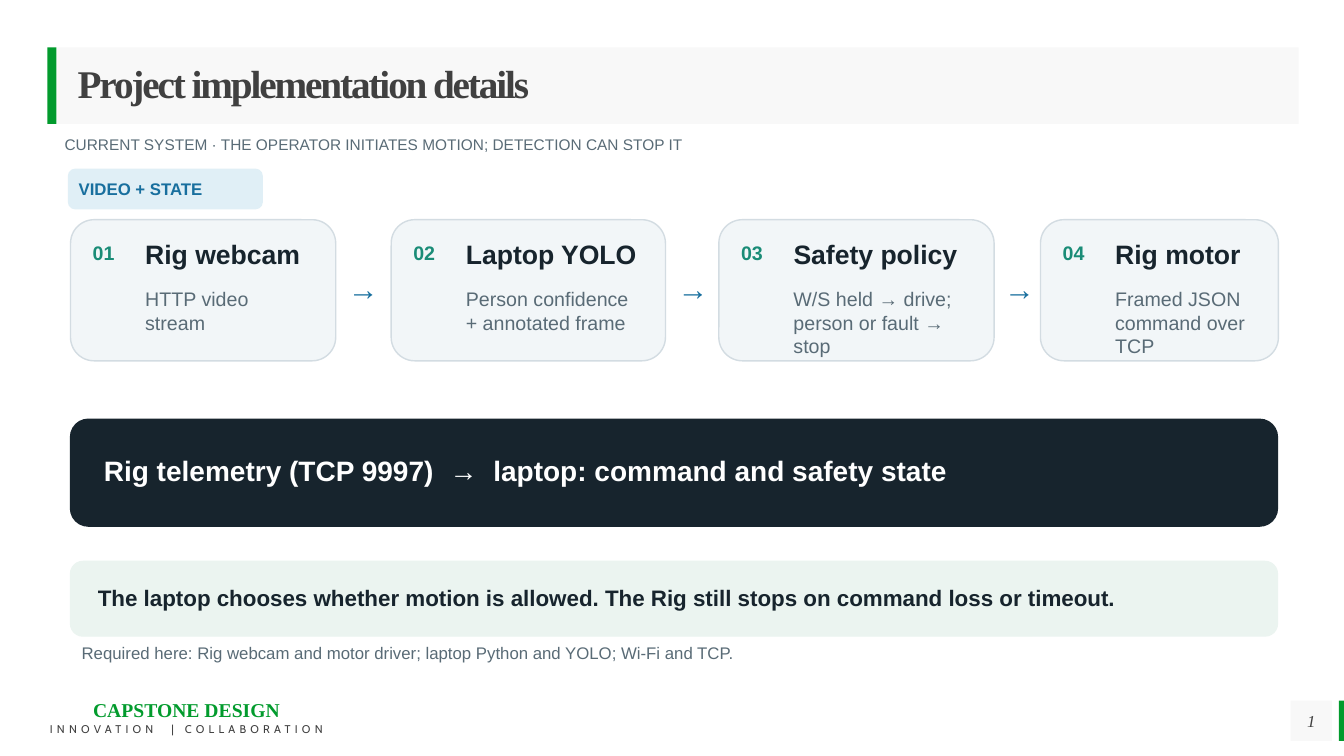
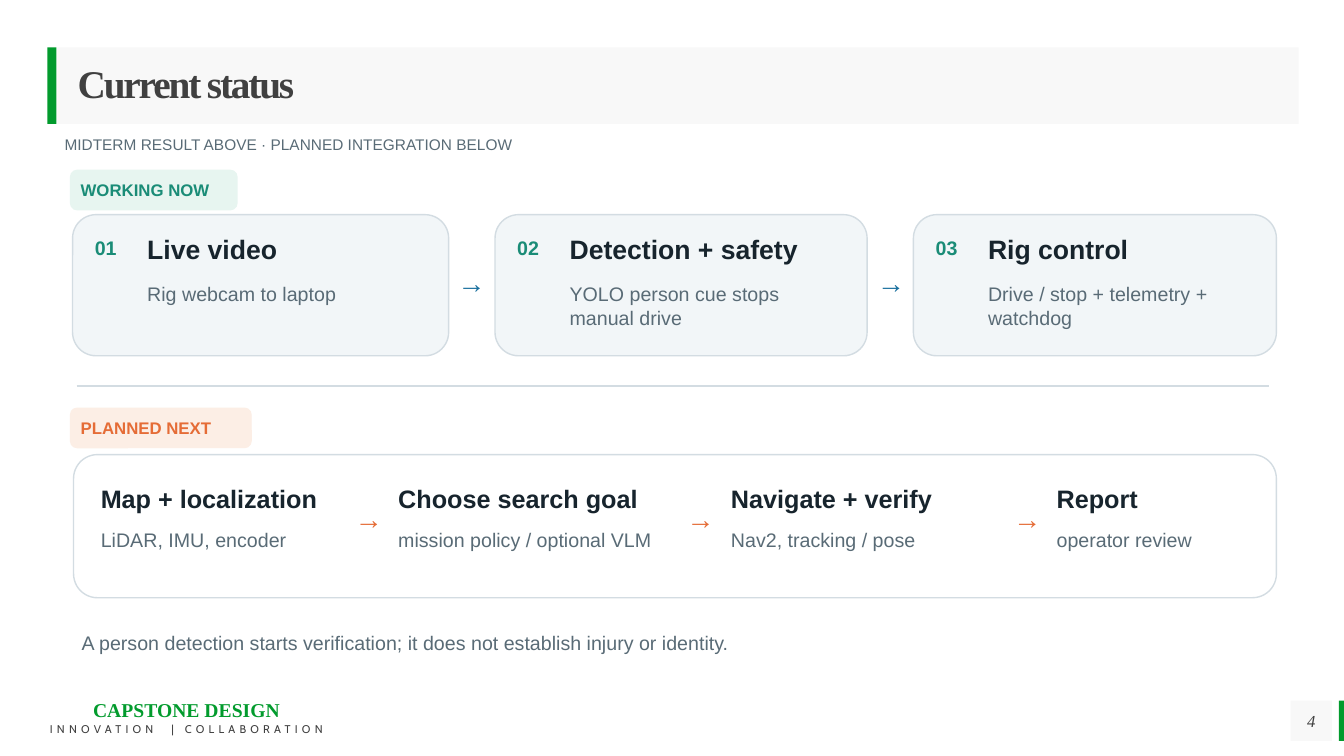
from lxml.etree import SubElement
from pptx import Presentation
from pptx.dml.color import RGBColor
from pptx.enum.shapes import MSO_CONNECTOR, MSO_SHAPE
from pptx.enum.text import MSO_ANCHOR, MSO_AUTO_SIZE, PP_ALIGN
from pptx.oxml.ns import qn
from pptx.util import Inches, Pt

COLORS = {
    "green": "029B2D", "band": "F2F2F2", "title": "404040", "ink": "17242D",
    "muted": "596B76", "blue": "186F9E", "teal": "1A8C77", "orange": "E56C36",
    "card": "F2F6F8", "edge": "D3DCE2", "white": "FFFFFF", "mint": "EBF4F0",
    "blue_tag": "E0EFF6", "teal_tag": "E7F5F0", "orange_tag": "FCEEE5",
}
SERIF = "Times New Roman"


def rgb(name):
    return RGBColor.from_string(COLORS[name])


class Deck:
    """Holds the shared style and the slide being drawn."""

    def __init__(self):
        self.prs = Presentation()
        self.prs.slide_width = Inches(13.33)
        self.prs.slide_height = Inches(7.5)
        self.s = None

    def run(self, p, text, size, color, font="Arial", spacing=0, **style):
        r = p.add_run()
        r.text = text
        fmt = {"name": font, "size": Pt(size), **style}
        for name, value in fmt.items():
            setattr(r.font, name, value)
        r.font.color.rgb = rgb(color)
        if spacing:
            r._r.get_or_add_rPr().set("spc", str(round(spacing * 100)))

    def frame(self, sp, margins, **settings):
        tf = sp.text_frame
        sides = ("margin_left", "margin_top", "margin_right", "margin_bottom")
        fmt = {"word_wrap": True, **settings}
        fmt.update(zip(sides, (Inches(m) for m in margins)))
        for name, value in fmt.items():
            setattr(tf, name, value)
        return tf

    def shape(self, x, y, w, h, fill, line=None, kind=MSO_SHAPE.RECTANGLE, alpha=None):
        sp = self.s.shapes.add_shape(kind, Inches(x), Inches(y), Inches(w), Inches(h))
        sp.shadow.inherit = False
        sp.fill.solid()
        sp.fill.fore_color.rgb = rgb(fill)
        if alpha:
            color = sp._element.spPr.find(qn("a:solidFill")).find(qn("a:srgbClr"))
            SubElement(color, qn("a:alpha")).set("val", str(alpha * 1000))
        if line:
            sp.line.color.rgb = rgb(line)
            sp.line.width = Pt(1)
        else:
            sp.line.fill.background()
        return sp

    def panel(self, x, y, w, h, fill, line=None):
        self.shape(x, y, w, h, fill, line or fill, MSO_SHAPE.ROUNDED_RECTANGLE)

    def box(self, x, y, w, h, margins=(0.02,) * 4):
        sp = self.s.shapes.add_textbox(Inches(x), Inches(y), Inches(w), Inches(h))
        return self.frame(sp, margins, auto_size=MSO_AUTO_SIZE.SHAPE_TO_FIT_TEXT)

    def text(self, x, y, w, h, text, size, color="muted", **style):
        self.run(self.box(x, y, w, h).paragraphs[0], text, size, color, **style)

    def band(self, x, y, w, h, margins, align, text, size, line_spacing=None, **style):
        sp = self.shape(x, y, w, h, "band", alpha=50)
        p = self.frame(sp, margins, vertical_anchor=MSO_ANCHOR.MIDDLE).paragraphs[0]
        p.alignment = align
        p.line_spacing = line_spacing
        self.run(p, text, size, "title", SERIF, **style)

    def footer(self, number):
        tf = self.box(0.27, 6.9, 3.16, 0.45, (0.1, 0.12, 0.1, 0.05))
        top, bottom = tf.paragraphs[0], tf.add_paragraph()
        for p in (top, bottom):
            p.alignment = PP_ALIGN.CENTER
            p.line_spacing = Pt(10)
        self.run(top, "CAPSTONE DESIGN", 14, "green", SERIF, bold=True)
        for part, spacing in (("INNOVATION", 3), (" ", 8), ("| COLLABORATION", 3)):
            self.run(bottom, part, 8, "title", "Cabin", spacing)
        self.shape(13.28, 6.95, 0.05, 0.4, "green")
        self.band(12.8, 6.95, 0.41, 0.4, (0,) * 4, PP_ALIGN.CENTER, str(number), 12,
                  italic=True)

    def slide(self, title, subtitle, number):
        self.s = self.prs.slides.add_slide(self.prs.slide_layouts[6])
        self.shape(0.47, 0.47, 0.09, 0.76, "green")
        self.band(0.57, 0.47, 12.31, 0.76, (0.2, 0, 0, 0), PP_ALIGN.LEFT, title, 28,
                  0.9, bold=True, spacing=-1.5)
        self.footer(number)
        self.text(0.62, 1.32, 11.9, 0.24, subtitle, 11)

    def tag(self, x, y, w, text, color):
        self.panel(x, y, w, 0.39, color + "_tag")
        self.text(x + 0.08, y + 0.07, w - 0.16, 0.27, text, 12, color, bold=True)

    def arrows(self, xs, y, size, color):
        for x in xs:
            self.text(x, y, 0.36, size * 0.018, "→", size, color, bold=True)

    def cards(self, y, items):
        for n, (x, w, head, body) in enumerate(items, 1):
            self.panel(x, y, w, 1.4, "card", "edge")
            self.text(x + 0.2, y + 0.19, 0.5, 0.29, f"{n:02d}", 14, "teal", bold=True)
            self.text(x + 0.72, y + 0.16, w - 0.94, 0.41, head, 19, "ink", bold=True)
            self.text(x + 0.72, y + 0.65, w - 0.93, 0.63, body, 14)

    def steps(self, y, items):
        for x, w, head, body in items:
            self.text(x, y, w, 0.39, head, 18, "ink", bold=True)
            self.text(x, y + 0.45, w, 0.33, body, 14)

    def rule(self, x1, x2, y):
        c = self.s.shapes.add_connector(MSO_CONNECTOR.STRAIGHT, Inches(x1), Inches(y),
                                        Inches(x2), Inches(y))
        c.line.color.rgb = rgb("edge")
        c.line.width = Pt(1.5)
        SubElement(c._element.spPr, qn("a:effectLst"))

    def telemetry(self, x, y, w, h):
        self.panel(x, y, w, h, "ink")
        p = self.box(x + 0.31, y + 0.32, w - 0.74, 0.42).paragraphs[0]
        parts = ("Rig telemetry (TCP 9997)", " ", "→", " ",
                 "laptop: command and safety state")
        for part in parts:
            self.run(p, part, 20, "white", bold=True, spacing=5.6 if part == " " else 0)


def implementation(d):
    d.slide("Project implementation details",
            "CURRENT SYSTEM · THE OPERATOR INITIATES MOTION; DETECTION CAN STOP IT", 1)
    d.tag(0.68, 1.68, 1.92, "VIDEO + STATE", "blue")
    d.cards(2.18, [
        (0.7, 2.63, "Rig webcam", "HTTP video stream"),
        (3.88, 2.72, "Laptop YOLO", "Person confidence + annotated frame"),
        (7.13, 2.73, "Safety policy", "W/S held → drive; person or fault → stop"),
        (10.32, 2.36, "Rig motor", "Framed JSON command over TCP"),
    ])
    d.arrows((3.43, 6.7, 9.94), 2.66, 22, "blue")
    d.telemetry(0.7, 4.16, 11.97, 1.06)
    d.panel(0.7, 5.57, 11.97, 0.74, "mint")
    d.text(0.95, 5.78, 11.39, 0.34,
           "The laptop chooses whether motion is allowed. "
           "The Rig still stops on command loss or timeout.", 16, "ink", bold=True)
    d.text(0.79, 6.36, 11.8, 0.28,
           "Required here: Rig webcam and motor driver; "
           "laptop Python and YOLO; Wi-Fi and TCP.", 12)


def status(d):
    d.slide("Current status", "MIDTERM RESULT ABOVE · PLANNED INTEGRATION BELOW", 4)
    d.tag(0.7, 1.69, 1.65, "WORKING NOW", "teal")
    d.cards(2.13, [
        (0.72, 3.73, "Live video", "Rig webcam to laptop"),
        (4.91, 3.69, "Detection + safety", "YOLO person cue stops manual drive"),
        (9.06, 3.6, "Rig control", "Drive / stop + telemetry + watchdog"),
    ])
    d.arrows((4.52, 8.68), 2.61, 20, "blue")
    d.rule(0.76, 12.59, 3.83)
    d.tag(0.7, 4.05, 1.79, "PLANNED NEXT", "orange")
    d.panel(0.73, 4.51, 11.93, 1.42, "white", "edge")
    d.steps(4.77, [
        (0.98, 2.5, "Map + localization", "LiDAR, IMU, encoder"),
        (3.93, 2.73, "Choose search goal", "mission policy / optional VLM"),
        (7.23, 2.7, "Navigate + verify", "Nav2, tracking / pose"),
        (10.46, 1.9, "Report", "operator review"),
    ])
    d.arrows((3.5, 6.79, 10.03), 4.96, 20, "orange")
    d.text(0.79, 6.24, 11.8, 0.33,
           "A person detection starts verification; "
           "it does not establish injury or identity.", 14)


def main():
    d = Deck()
    implementation(d)
    status(d)
    d.prs.save("out.pptx")


if __name__ == "__main__":
    main()
